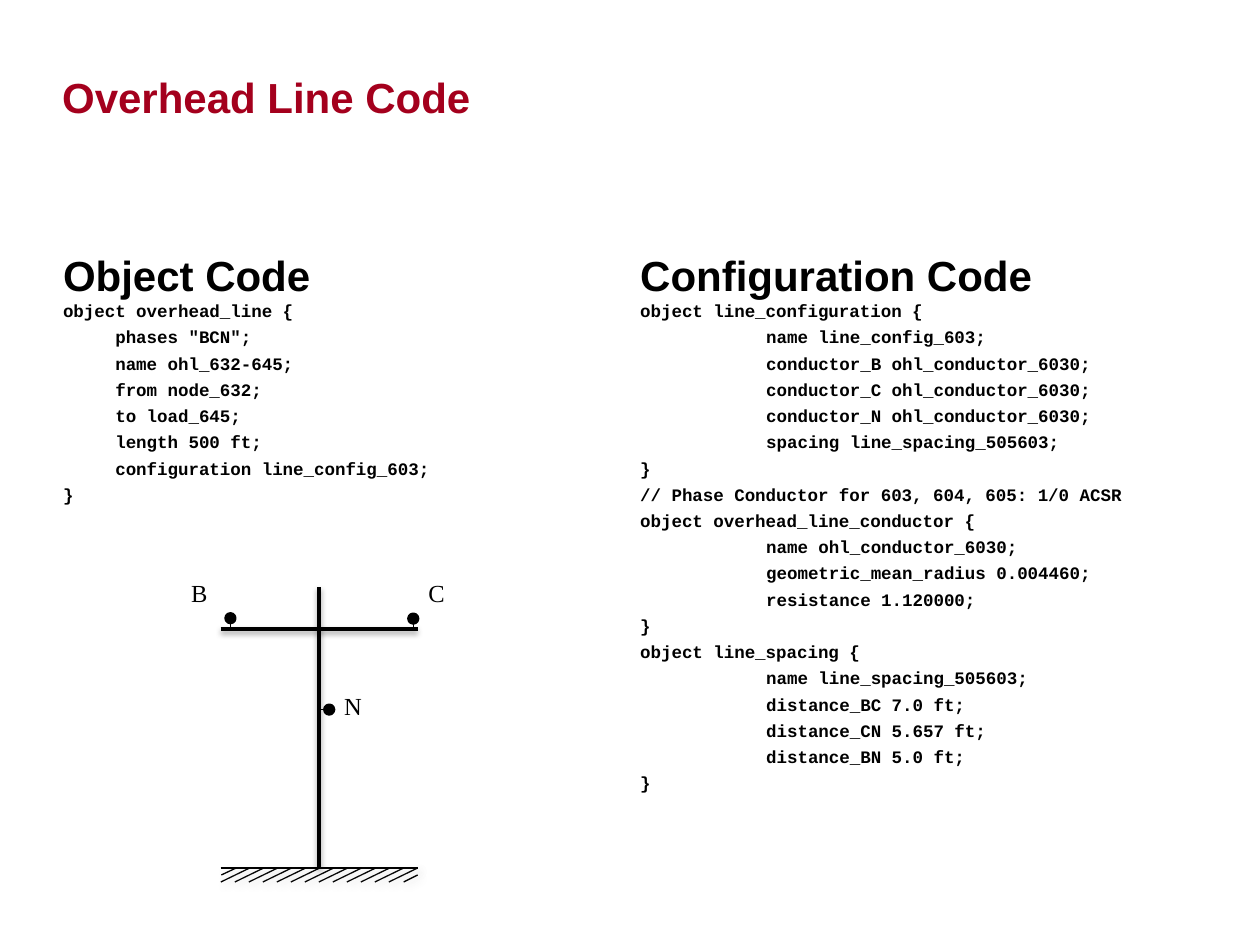
from lxml import etree
from pptx import Presentation
from pptx.dml.color import RGBColor
from pptx.enum import shapes, text
from pptx.oxml.ns import qn
from pptx.util import Pt

BLACK, RED = "000000", "A4001D"
# colour, opacity %, blur, distance, direction in degrees
POLE_SHADOW = (BLACK, 38, 3.1, 1.6, 90)
GROUND_SHADOW = ("BFBFBF", 40, 4, 3, 45)

OBJECT_CODE = """object overhead_line {
     phases "BCN";
     name ohl_632-645;
     from node_632;
     to load_645;
     length 500 ft;
     configuration line_config_603;
}"""

CONFIGURATION_CODE = """object line_configuration {
\tname line_config_603;
\tconductor_B ohl_conductor_6030;
\tconductor_C ohl_conductor_6030;
\tconductor_N ohl_conductor_6030;
\tspacing line_spacing_505603;
}
// Phase Conductor for 603, 604, 605: 1/0 ACSR
object overhead_line_conductor {
\tname ohl_conductor_6030;
\tgeometric_mean_radius 0.004460;
\tresistance 1.120000;
}
object line_spacing {
\tname line_spacing_505603;
\tdistance_BC 7.0 ft;
\tdistance_CN 5.657 ft;
\tdistance_BN 5.0 ft;
}"""


def rgb(value):
    return RGBColor.from_string(value)


def add_tab_stop(p, pos):
    tabs = etree.SubElement(p._p.get_or_add_pPr(), qn("a:tabLst"))
    etree.SubElement(tabs, qn("a:tab"), pos=str(int(Pt(pos))), algn="l")


def write(sp, content, font="Arial", size=24, color=BLACK, bold=True,
          anchor=text.MSO_ANCHOR.TOP, spacing=None, after=0, inset=(0, 0),
          tab=None):
    tf = sp.text_frame
    tf.word_wrap = True
    tf.auto_size = text.MSO_AUTO_SIZE.NONE
    tf.vertical_anchor = anchor
    tf.margin_left = tf.margin_right = Pt(inset[0])
    tf.margin_top = tf.margin_bottom = Pt(inset[1])
    for i, line in enumerate(content.split("\n")):
        p = tf.add_paragraph() if i else tf.paragraphs[0]
        p.alignment = text.PP_ALIGN.LEFT
        p.space_before = Pt(0)
        p.space_after = Pt(after)
        if spacing:
            p.line_spacing = spacing
        if tab:
            add_tab_stop(p, tab)
        r = p.add_run()
        r.text = line
        r.font.name, r.font.size, r.font.bold = font, Pt(size), bold
        r.font.color.rgb = rgb(color)


def add_text(parent, x, y, w, h, content, **style):
    sp = parent.add_textbox(Pt(x), Pt(y), Pt(w), Pt(h))
    write(sp, content, **style)


def add_line(parent, x1, y1, x2, y2, width=0.75, shadow=None):
    sp = parent.add_connector(shapes.MSO_CONNECTOR.STRAIGHT,
                              Pt(x1), Pt(y1), Pt(x2), Pt(y2))
    sp.line.color.rgb = rgb(BLACK)
    sp.line.width = Pt(width)
    effects = etree.SubElement(sp._element.spPr, qn("a:effectLst"))
    if shadow:
        color, opacity, blur, dist, angle = shadow
        outer = etree.SubElement(
            effects, qn("a:outerShdw"), blurRad=str(int(Pt(blur))),
            dist=str(int(Pt(dist))), dir=str(angle * 60000), rotWithShape="0")
        clr = etree.SubElement(outer, qn("a:srgbClr"), val=color)
        etree.SubElement(clr, qn("a:alpha"), val=str(opacity * 1000))


def add_conductor(parent, x, y, size=5):
    sp = parent.add_shape(shapes.MSO_SHAPE.OVAL, Pt(x - size / 2),
                          Pt(y - size / 2), Pt(size), Pt(size))
    sp.shadow.inherit = False
    sp.fill.solid()
    sp.fill.fore_color.rgb = sp.line.color.rgb = rgb(BLACK)
    sp.line.width = Pt(2)


def add_title(slide, x, y, w, h, content):
    sp = slide.shapes.title
    sp.left, sp.top, sp.width, sp.height = Pt(x), Pt(y), Pt(w), Pt(h)
    write(sp, content, color=RED, anchor=text.MSO_ANCHOR.BOTTOM)


def add_code_column(slide, x, y, w, h, heading, code):
    head_h = 50.4
    add_text(slide.shapes, x, y, w, head_h, heading, spacing=1.2, after=3,
             anchor=text.MSO_ANCHOR.BOTTOM)
    add_text(slide.shapes, x, y + head_h, w, h - head_h, code, size=10,
             font="Courier New", spacing=Pt(12), after=3, tab=72)


def add_ground(parent, x, y, w, h):
    """Surface line with slanted hatching below it, cut off at both ends."""
    run, step, count = 16.5, 8, 13
    add_line(parent, x, y, x + w, y, shadow=GROUND_SHADOW)
    for i in range(count):
        top = x + w - i * step
        add_line(parent, top, y, top - run, y + h, shadow=GROUND_SHADOW)
    add_line(parent, x + 9, y, x + 0.5, y + h / 2, shadow=GROUND_SHADOW)
    add_line(parent, x + w, y + h / 2, x + w - 8, y + h, shadow=GROUND_SHADOW)


def add_utility_pole(slide, x, y, w, h):
    parent = slide.shapes.add_group_shape().shapes
    ground_h = 8
    ground, arm, pole = y + h - ground_h, y + 24, x + w / 2
    add_line(parent, pole, ground, pole, y, 2, POLE_SHADOW)
    add_line(parent, x, arm, x + w, arm, 2, POLE_SHADOW)
    # label, conductor centre, end of its stem, label offset
    conductors = [
        ("B", x + 5.7, arm - 6.2, x + 5.7, arm, -29.5, -26.8),
        ("C", x + w - 2.5, arm - 6, x + w - 2.5, arm, 1.5, -27),
        ("N", pole + 5.8, y + 70, pole, y + 70, 1.4, -14.4),
    ]
    for name, cx, cy, stem_x, stem_y, dx, dy in conductors:
        add_line(parent, cx, cy, stem_x, stem_y)
        add_conductor(parent, cx, cy)
        add_text(parent, cx + dx, cy + dy, 32.5, 32.5, name, size=14,
                 font="Times New Roman", bold=False, inset=(7.2, 3.6))
    add_ground(parent, x, ground, w, ground_h)


def main():
    prs = Presentation()
    prs.slide_width, prs.slide_height = Pt(720), Pt(540)
    slide = prs.slides.add_slide(prs.slide_layouts[5])
    add_title(slide, 35.5, 10.4, 638, 59, "Overhead Line Code")
    columns = [("Object Code", OBJECT_CODE),
               ("Configuration Code", CONFIGURATION_CODE)]
    margin, col_w = 36, 318.2
    for i, (heading, code) in enumerate(columns):
        x = margin + i * (720 - 2 * margin - col_w)
        add_code_column(slide, x, 121.1, col_w, 361.4, heading, code)
    add_utility_pole(slide, 126, 335.5, 112.7, 168.5)
    prs.save("out.pptx")


if __name__ == "__main__":
    main()
